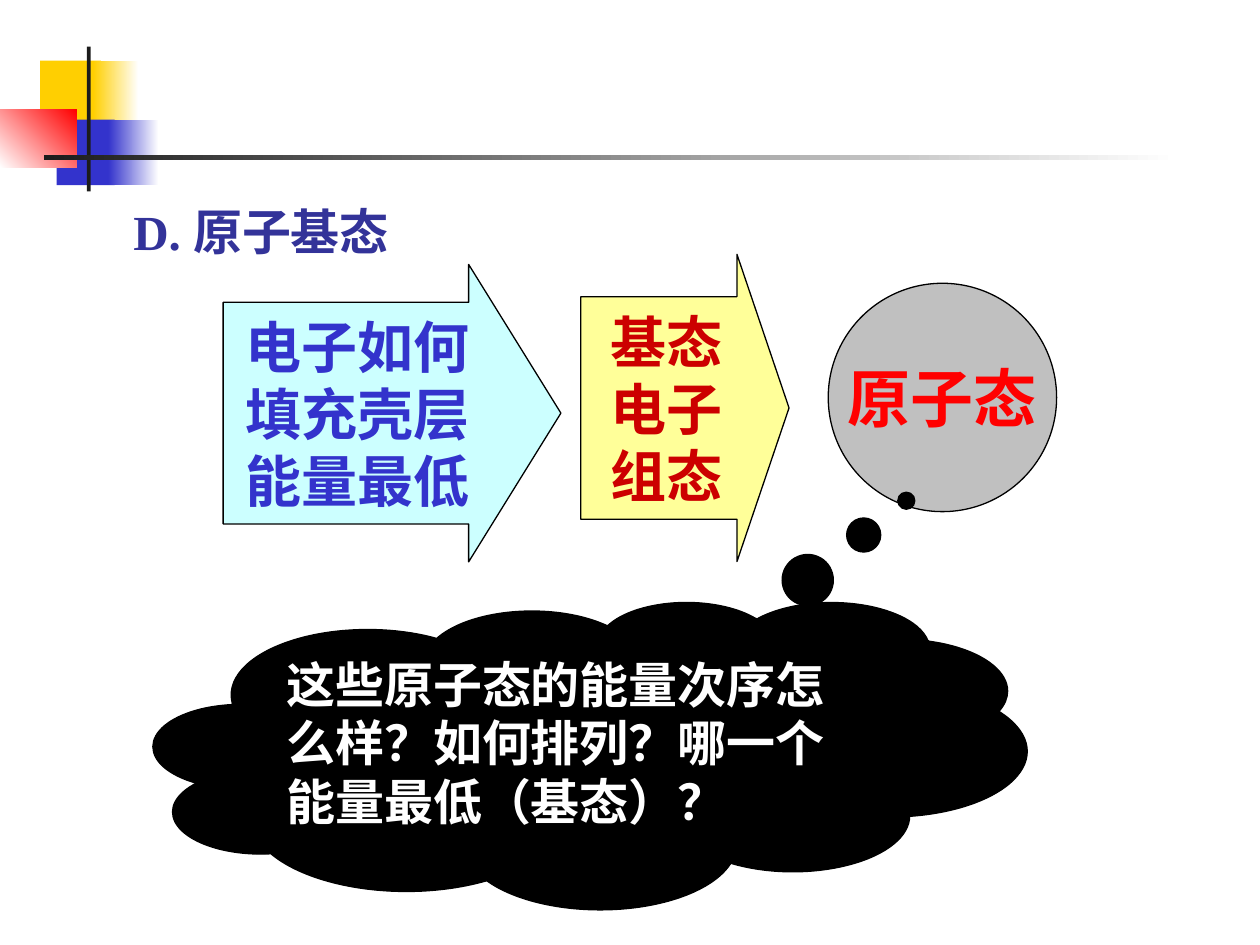
from collections import namedtuple
from dataclasses import dataclass

from pptx import Presentation
from pptx.dml.color import RGBColor
from pptx.enum.shapes import MSO_SHAPE
from pptx.enum.text import MSO_ANCHOR, PP_ALIGN
from pptx.util import Pt

RECT = MSO_SHAPE.RECTANGLE
ARROW = MSO_SHAPE.RIGHT_ARROW
CIRCLE = MSO_SHAPE.OVAL
CLOUD = MSO_SHAPE.CLOUD_CALLOUT
TOP, MIDDLE = MSO_ANCHOR.TOP, MSO_ANCHOR.MIDDLE
LEFT, CENTER = PP_ALIGN.LEFT, PP_ALIGN.CENTER

Box = namedtuple("Box", "left top width height")


@dataclass(frozen=True)
class Theme:
    """Colours, fonts and type sizes of the slide."""
    white: str = "FFFFFF"
    black: str = "000000"
    charcoal: str = "1C1C1C"
    gold: str = "FFCF01"
    blue: str = "3333CC"
    red: str = "FF0000"
    heading: str = "333399"
    cyan: str = "CCFFFF"
    yellow: str = "FFFF99"
    grey: str = "C0C0C0"
    crimson: str = "CC0000"
    serif: str = "Times New Roman"
    sans: str = "Cabin"
    body_size: int = 28
    step_size: int = 32
    result_size: int = 36
    outline: float = 0.75


THEME = Theme()


def rgb(color):
    """Turn a hex string into a colour."""
    return RGBColor.from_string(color)


def place(item, box):
    """Move an item to a box given in points."""
    item.left, item.top, item.width, item.height = map(Pt, box)


def write(item, text, *, size, color, font=THEME.sans, align=CENTER,
          anchor=MIDDLE, wrap=False):
    """Fill an item with bold text, one paragraph per line."""
    frame = item.text_frame
    frame.word_wrap = wrap
    frame.vertical_anchor = anchor
    frame.margin_left = frame.margin_right = Pt(7.2)
    frame.margin_top = frame.margin_bottom = Pt(3.6)
    frame.text = text
    for paragraph in frame.paragraphs:
        paragraph.alignment = align
        paragraph.font.size = Pt(size)
        paragraph.font.name = font
        paragraph.font.bold = True
        paragraph.font.color.rgb = rgb(color)


def add_figure(slide, kind, box, fill, *, outline=None, adjustments=()):
    """Add a flat preset shape with an optional outline."""
    figure = slide.shapes.add_shape(kind, *map(Pt, box))
    figure.shadow.inherit = False
    figure.fill.solid()
    figure.fill.fore_color.rgb = rgb(fill)
    if outline:
        figure.line.color.rgb = rgb(outline)
        figure.line.width = Pt(THEME.outline)
    else:
        figure.line.fill.background()
    for index, value in enumerate(adjustments):
        figure.adjustments[index] = value
    return figure


def fade(figure, start, end, angle):
    """Give a figure a linear gradient between two colours."""
    figure.fill.gradient()
    figure.fill.gradient_angle = angle
    for stop, color in zip(figure.fill.gradient_stops, (start, end)):
        stop.color.rgb = rgb(color)


def add_ornament(slide, box):
    """Draw the coloured squares and the crossed rules at the top."""
    def part(x, y, width, height, color, start=None, end=None, angle=180):
        """Add one rectangle measured from the ornament's corner."""
        area = Box(box.left + x, box.top + y, width, height)
        figure = add_figure(slide, RECT, area, color)
        if start:
            fade(figure, start, end, angle)

    side = 37.4
    for color, x, y, width, fade_x, fade_width in (
            (THEME.gold, 23, 8, 34.6, 53.3, 25.9),
            (THEME.blue, 32.4, 41.8, 33.1, 61.9, 28.8)):
        part(x, y, width, side, color)
        part(fade_x, y, fade_width, side, color, THEME.white, color)
    part(0, 36, 43.9, 33.1, THEME.red, THEME.red, THEME.white, 225)
    part(49.7, 0, 2.2, box.height, THEME.charcoal)
    part(25.2, 62, 648, 2.9, THEME.charcoal, THEME.white, THEME.charcoal)


def add_heading(slide, box):
    """Set the section heading in the title placeholder."""
    heading = slide.shapes.title
    place(heading, box)
    write(heading, "D. 原子基态", size=THEME.body_size, color=THEME.heading,
          font=THEME.serif, align=LEFT, anchor=TOP, wrap=True)


def add_flow(slide, box):
    """Draw the two arrows that lead to the atomic state."""
    steps = (
        (ARROW, Box(0, 5.8, 193, 170), (0.745, 0.31), THEME.cyan,
         "电子如何\n填充壳层\n能量最低", THEME.step_size, THEME.blue),
        (ARROW, Box(204.4, 0, 119, box.height), (0.724, 0.25), THEME.yellow,
         "基态\n电子\n组态", THEME.step_size, THEME.crimson),
        (CIRCLE, Box(345.8, 16.6, 130.5, 130.5), (), THEME.grey,
         "原子态", THEME.result_size, THEME.red),
    )
    for kind, area, adjustments, fill, text, size, color in steps:
        area = area._replace(left=box.left + area.left, top=box.top + area.top)
        step = add_figure(slide, kind, area, fill, outline=THEME.black,
                          adjustments=adjustments)
        write(step, text, size=size, color=color)


def add_question(slide, box):
    """Draw the thought cloud with the closing question."""
    cloud = add_figure(slide, CLOUD, box, THEME.black, outline=THEME.black,
                       adjustments=(0.362, -0.828))
    write(cloud, "这些原子态的能量次序怎么样？如何排列？哪一个能量最低（基态）？",
          size=THEME.body_size, color=THEME.white, font=THEME.serif,
          align=LEFT, anchor=TOP, wrap=True)


def main():
    """Build and save the slide."""
    deck = Presentation()
    deck.slide_width, deck.slide_height = Pt(720), Pt(540)
    slide = deck.slides.add_slide(deck.slide_layouts[5])
    add_ornament(slide, Box(0, 26.6, 673.2, 82.8))
    add_flow(slide, Box(127.5, 145.3, 476.3, 175.6))
    add_question(slide, Box(87.8, 343.7, 499, 175.6))
    add_heading(slide, Box(69, 111.6, 190, 41))
    deck.save("out.pptx")


if __name__ == "__main__":
    main()
